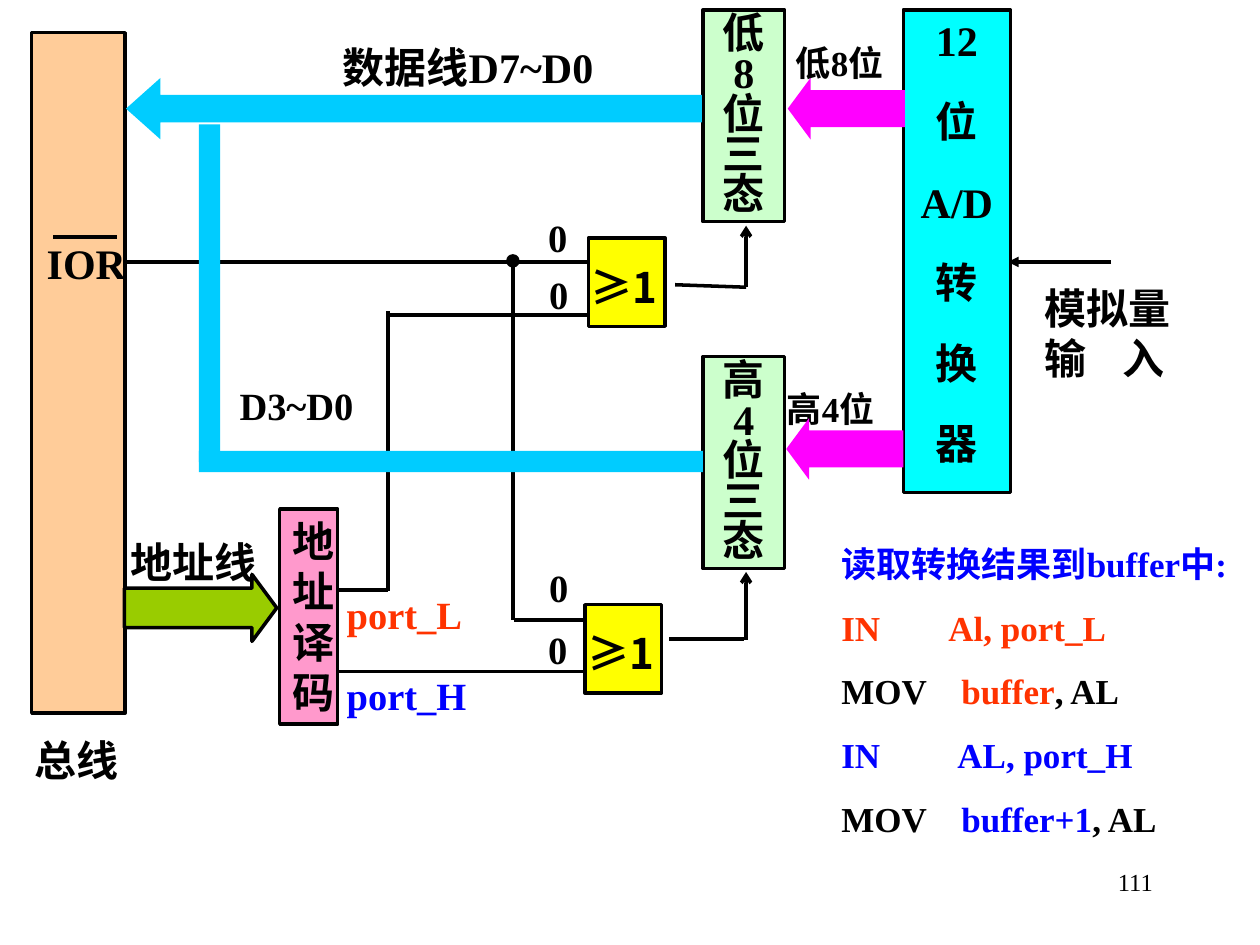
from dataclasses import dataclass
from typing import Optional

from pptx import Presentation
from pptx import util as u
from pptx.dml.color import RGBColor
from pptx.enum import shapes, text
from pptx.oxml import ns
from lxml import etree

HUES = {"black": "000000", "cyan": "00FFFF", "sky": "00CCFF", "peach": "FFCC99",
        "mint": "CCFFCC", "pink": "FF99CC", "green": "99CC00", "plum": "FF00FF",
        "gold": "FFFF00", "red": "FF3300", "blue": "0000FF"}
KIND = shapes.MSO_SHAPE
SIDE = text.PP_ALIGN
SERIF, SANS = "Times New Roman", "Noto Sans CJK SC"


@dataclass
class Run:
    """A piece of text in one colour."""
    words: str
    hue: str = "black"


@dataclass
class Row:
    """A paragraph with an optional tab stop."""
    runs: list[Run]
    tab: float = 0


@dataclass
class Style:
    """The look of the text in a box."""
    size: float = 24
    side: SIDE = SIDE.JUSTIFY
    font: str = SERIF
    bold: bool = True
    lead: Optional[float] = None
    gap: float = 0
    pad: tuple = (0, 0, 0, 0)


@dataclass
class Wire:
    """A line between two points, with an optional arrowhead."""
    x1: float
    y1: float
    x2: float
    y2: float
    head: str = ""


@dataclass
class Box:
    """A shape, or a plain text box when it has no kind."""
    x: float
    y: float
    w: float
    h: float
    rows: tuple = ()
    style: Optional[Style] = None
    kind: Optional[KIND] = None
    fill: str = ""
    edge: bool = True
    adj: tuple = ()
    turn: int = 0


PAD = (0.25, 0.13, 0.25, 0.13)
BASE, SMALL = Style(), Style(22)
MID, TAG = Style(side=SIDE.CENTER), Style(20, SIDE.CENTER)
STACK = Style(side=SIDE.CENTER, lead=0.8, pad=PAD)
TALL = Style(side=SIDE.CENTER, lead=0.8, gap=23, pad=(0.25, 0.3, 0.25, 0.13))
CODE = Style(20, SIDE.LEFT, gap=12.5, pad=PAD)


def rows(*lines: str, hue: str = "black") -> tuple:
    """Make one paragraph for each line."""
    return tuple(Row([Run(line, hue)]) for line in lines)


def label(x: float, y: float, w: float, h: float, words: str,
          style: Style = BASE, hue: str = "black") -> Box:
    """Make a text label of one line."""
    return Box(x, y, w, h, rows(words, hue=hue), style)


def block(x: float, y: float, w: float, h: float, fill: str, lines: tuple = (),
          style: Optional[Style] = None, edge: bool = True) -> Box:
    """Make a filled rectangle."""
    return Box(x, y, w, h, rows(*lines), style, KIND.RECTANGLE, fill, edge)


def arrow(x: float, y: float, w: float, h: float, fill: str, adj: tuple,
          edge: bool = False, turn: int = 180) -> Box:
    """Make a block arrow."""
    return Box(x, y, w, h, kind=KIND.RIGHT_ARROW, fill=fill, edge=edge, adj=adj, turn=turn)


def gate(x: float, y: float) -> list[Box]:
    """Make a logic gate with its sign."""
    sign = Style(font=SANS, lead=1.6)
    return [block(x, y, 1.55, 1.78, "gold"),
            label(x + 0.05, y - 0.14, 1.35, 1.57, "≥1", sign)]


WIRES = [
    Wire(22.4, 5.28, 20.32, 5.28, "triangle"), Wire(10.34, 5.26, 10.34, 12.5),
    Wire(7.82, 11.91, 7.82, 6.27), Wire(2.54, 5.28, 11.86, 5.28),
    Wire(7.82, 6.35, 11.86, 6.35), Wire(15.04, 5.79, 15.04, 4.55, "arrow"),
    Wire(13.61, 5.74, 15.04, 5.79), Wire(6.78, 13.54, 11.86, 13.54),
    Wire(13.49, 12.88, 14.99, 12.88), Wire(10.36, 12.5, 11.86, 12.5),
    Wire(6.81, 11.89, 7.82, 11.89), Wire(15.04, 12.9, 15.04, 11.53, "arrow"),
    Wire(1.07, 4.78, 2.36, 4.78),
]
ZEROS = [(11.05, 4.32), (11.07, 5.46), (11.07, 11.38), (11.05, 12.62)]
LIST = (
    *rows("读取转换结果到buffer中:", hue="blue"),
    Row([Run("IN\tAl, port_L", "red")], 2.16),
    Row([Run("MOV\t"), Run("buffer", "red"), Run(", AL")], 2.42),
    Row([Run("IN\tAL, port_H", "blue")], 2.34),
    Row([Run("MOV\t"), Run("buffer+1", "blue"), Run(", AL")], 2.42),
)
INPUT = (*rows("模拟量"), Row([Run("输\t入")], 1.56))
BOXES = [
    label(0.64, 14.81, 1.8, 0.91, "总线", MID),
    block(18.21, 0.2, 2.16, 9.73, "cyan", ("12", "位", "A/D", "转", "换", "器"), TALL),
    block(0.64, 0.66, 1.88, 13.72, "peach"),
    label(6.91, 0.84, 5.36, 0.91, "数据线D7~D0"),
    Box(21.06, 5.69, 2.84, 1.93, INPUT, Style(font=SANS)),
    label(0.71, 4.78, 1.83, 0.94, "IOR", Style(side=SIDE.RIGHT)),
    block(14.17, 0.2, 1.65, 4.27, "mint", ("低", "8位", "三态"), STACK),
    *[label(x, y, 0.36, 0.99, "0", SMALL) for x, y in ZEROS],
    Box(10.24, 5.16, 0.2, 0.2, kind=KIND.OVAL, fill="black"),
    block(5.64, 10.26, 1.17, 4.34, "pink", tuple("地址译码"),
          Style(side=SIDE.CENTER, pad=PAD)),
    arrow(2.51, 11.58, 3.07, 1.35, "green", (0.59, 0.37), True, 0),
    label(2.64, 10.82, 3.45, 0.99, "地址线"),
    block(14.17, 7.19, 1.65, 4.27, "mint", ("高", "4", "位", "三态"), STACK),
    arrow(2.54, 1.57, 11.61, 1.24, "sky", (0.45, 0.56)),
    block(4.01, 2.51, 0.43, 6.81, "sky", edge=False),
    arrow(15.88, 1.57, 2.36, 1.24, "plum", (0.6, 0.37)),
    label(15.67, 0.84, 2.51, 0.91, "低8位", TAG),
    label(15.49, 7.82, 2.51, 0.94, "高4位", TAG),
    arrow(15.85, 8.43, 2.36, 1.24, "plum", (0.6, 0.37)),
    label(4.83, 7.7, 2.36, 0.99, "D3~D0", SMALL),
    label(6.99, 11.91, 2.57, 0.99, "port_L", SMALL, "red"),
    label(6.99, 13.54, 2.57, 0.99, "port_H", SMALL, "blue"),
    *gate(11.86, 4.8),
    *gate(11.79, 12.19),
    block(4.01, 9.09, 10.16, 0.43, "sky", edge=False),
    Box(16.71, 10.8, 9.53, 6.25, LIST, CODE),
    label(18.21, 17.35, 5.28, 1.27, "111", Style(14, SIDE.RIGHT, bold=False, pad=PAD)),
]


def tint(name: str) -> RGBColor:
    """Look up a colour."""
    return RGBColor.from_string(HUES[name])


def ink(line) -> None:
    """Give a line its colour and width."""
    line.color.rgb = tint("black")
    line.width = u.Pt(2)


def link(tree, wire: Wire) -> None:
    """Draw one wire."""
    ends = [u.Cm(v) for v in (wire.x1, wire.y1, wire.x2, wire.y2)]
    item = tree.add_connector(shapes.MSO_CONNECTOR.STRAIGHT, *ends)
    ink(item.line)
    if wire.head:
        etree.SubElement(item.line._get_or_add_ln(), ns.qn("a:tailEnd"),
                         type=wire.head, w="med", len="med")
    etree.SubElement(item._element.spPr, ns.qn("a:effectLst"))


def write(frame, lines: tuple, style: Style) -> None:
    """Fill a text frame with paragraphs."""
    frame.word_wrap = True
    frame.vertical_anchor = text.MSO_ANCHOR.TOP
    (frame.margin_left, frame.margin_top,
     frame.margin_right, frame.margin_bottom) = map(u.Cm, style.pad)
    for i, row in enumerate(lines):
        para = frame.add_paragraph() if i else frame.paragraphs[0]
        if row.tab:
            tabs = etree.SubElement(para._p.get_or_add_pPr(), ns.qn("a:tabLst"))
            etree.SubElement(tabs, ns.qn("a:tab"), pos=str(u.Cm(row.tab)), algn="l")
        para.alignment = style.side
        if style.lead:
            para.line_spacing = style.lead
        if i and style.gap:
            para.space_before = u.Pt(style.gap)
        for part in row.runs:
            run = para.add_run()
            run.text = part.words
            font = run.font
            font.size, font.bold, font.name = u.Pt(style.size), style.bold, style.font
            font.color.rgb = tint(part.hue)
            etree.SubElement(run._r.get_or_add_rPr(), ns.qn("a:ea"), typeface=SANS)


def draw(tree, box: Box) -> None:
    """Draw one box."""
    area = [u.Cm(v) for v in (box.x, box.y, box.w, box.h)]
    if box.kind is None:
        item = tree.add_textbox(*area)
    else:
        item = tree.add_shape(box.kind, *area)
        item.shadow.inherit = False
        item.rotation = box.turn
        item.fill.solid()
        item.fill.fore_color.rgb = tint(box.fill)
        for i, v in enumerate(box.adj):
            item.adjustments[i] = v
        if box.edge:
            ink(item.line)
        else:
            item.line.fill.background()
    if box.rows:
        write(item.text_frame, box.rows, box.style)


def main() -> None:
    """Build and save the slide."""
    deck = Presentation()
    deck.slide_width, deck.slide_height = u.Cm(25.4), u.Cm(19.05)
    tree = deck.slides.add_slide(deck.slide_layouts[6]).shapes
    for wire in WIRES[:-1]:
        link(tree, wire)
    for box in BOXES:
        draw(tree, box)
    link(tree, WIRES[-1])
    deck.save("out.pptx")


if __name__ == "__main__":
    main()
